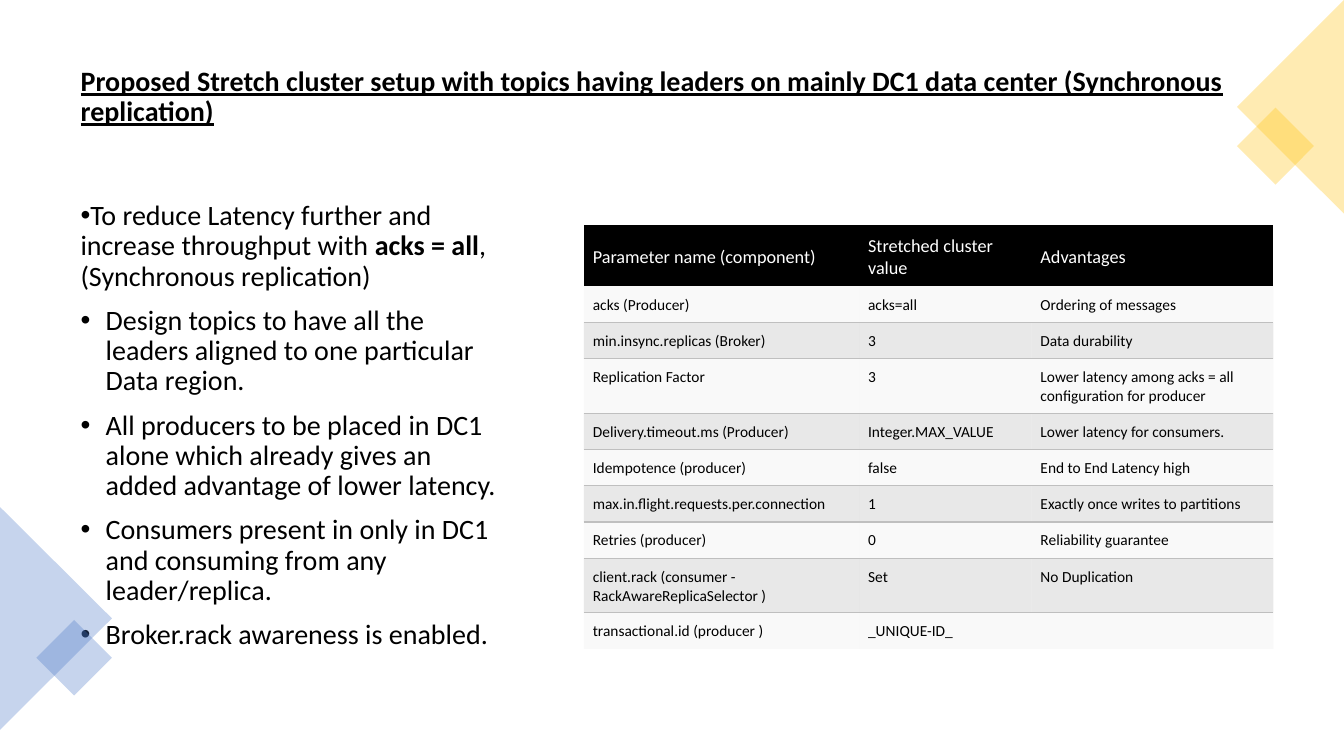
from lxml import etree
from pptx import Presentation
from pptx.dml.color import RGBColor
from pptx.enum.shapes import MSO_SHAPE
from pptx.enum.text import MSO_ANCHOR, PP_ALIGN
from pptx.oxml.ns import qn
from pptx.util import Inches, Pt

TRIANGLE = MSO_SHAPE.ISOSCELES_TRIANGLE
SQUARE = MSO_SHAPE.RECTANGLE
MIDDLE = MSO_ANCHOR.MIDDLE
TOP = MSO_ANCHOR.TOP
LEFT = PP_ALIGN.LEFT

FONT = "Calibri"
BLACK, WHITE = "000000", "FFFFFF"
BLUE, GOLD = "4472C4", "FFC000"
LIGHT, GREY = "F2F2F2", "BFBFBF"
NO_STYLE_NO_GRID = "{2D5ABB26-0587-4C30-8999-92F81FD0307C}"

TITLE = ("Proposed Stretch cluster setup with topics having leaders on mainly "
         "DC1 data center (Synchronous replication)")

BULLETS = [
    (0, [("To reduce Latency further and increase throughput with ", False),
         ("acks = all", True),
         (", (Synchronous replication)", False)]),
    (0.25, [("Design topics to have all the leaders aligned to one particular Data region.", False)]),
    (0.25, [("All producers to be placed in DC1 alone which already gives an added "
             "advantage of lower latency.", False)]),
    (0.25, [("Consumers present in only in DC1 and consuming from any leader/replica.", False)]),
    (0.25, [("Broker.rack awareness is enabled.", False)]),
]

CORNERS = [
    (BLUE, [(TRIANGLE, -0.55, 5.58, 2.21, 1.11, 90),
            (SQUARE, 0.47, 6.26, 0.53, 0.53, 45)]),
    (GOLD, [(SQUARE, 12.38, 1.18, 0.54, 0.54, 45),
            (TRIANGLE, 11.74, 0.53, 2.12, 1.06, 270)]),
]

PARAMETERS = [
    ("Parameter name (component)", "Stretched cluster value", "Advantages"),
    ("acks (Producer)", "acks=all", "Ordering of messages"),
    ("min.insync.replicas (Broker)", "3", "Data durability"),
    ("Replication Factor", "3", "Lower latency among acks = all configuration for producer"),
    ("Delivery.timeout.ms (Producer)", "Integer.MAX_VALUE", "Lower latency for consumers."),
    ("Idempotence (producer)", "false", "End to End Latency high"),
    ("max.in.flight.requests.per.connection", "1", "Exactly once writes to partitions"),
    ("Retries (producer)", "0", "Reliability guarantee"),
    ("client.rack (consumer - RackAwareReplicaSelector )", "Set", "No Duplication"),
    ("transactional.id (producer )", "_UNIQUE-ID_", ""),
]
COLUMN_WIDTHS = [2.73, 1.71, 2.4]
ROW_HEIGHT = 0.36
TALL_ROWS = {0: 0.61, 3: 0.54, 8: 0.54}


def rgb(color):
    return RGBColor.from_string(color)


def add_run(paragraph, text, size, color=BLACK, bold=False, underline=False):
    run = paragraph.add_run()
    run.text = text
    run.font.name = FONT
    run.font.size = Pt(size)
    run.font.color.rgb = rgb(color)
    run.font.bold = bold
    run.font.underline = underline


def paint(fill, properties, color, opacity=100):
    fill.solid()
    fill.fore_color.rgb = rgb(color)
    if opacity < 100:
        for element in properties.iter(qn("a:srgbClr")):
            etree.SubElement(element, qn("a:alpha"), val=str(opacity * 1000))


def add_bullet(paragraph, margin):
    properties = paragraph._p.get_or_add_pPr()
    properties.set("marL", str(Inches(margin)))
    properties.set("indent", str(Inches(-0.25)))
    etree.SubElement(properties, qn("a:buFont"), typeface="Arial")
    etree.SubElement(properties, qn("a:buChar"), char="•")


def add_border(cell, side):
    line = etree.Element(qn(f"a:{side}"), w=str(Pt(1)))
    fill = etree.SubElement(line, qn("a:solidFill"))
    etree.SubElement(fill, qn("a:srgbClr"), val=GREY)
    cell._tc.get_or_add_tcPr().insert(0, line)


def add_title(slide):
    title = slide.shapes.title
    title.left, title.top = Inches(0.7), Inches(0.35)
    title.width, title.height = Inches(11.93), Inches(1.24)
    frame = title.text_frame
    frame.word_wrap = True
    frame.vertical_anchor = MIDDLE
    paragraph = frame.paragraphs[0]
    paragraph.alignment = LEFT
    paragraph.line_spacing = 0.9
    paragraph.space_before = Pt(0)
    add_run(paragraph, TITLE, 20, bold=True, underline=True)


def add_bullets(slide):
    box = slide.shapes.add_textbox(Inches(0.7), Inches(1.95), Inches(4.38), Inches(4.81))
    frame = box.text_frame
    frame.word_wrap = True
    for index, (margin, runs) in enumerate(BULLETS):
        paragraph = frame.add_paragraph() if index else frame.paragraphs[0]
        paragraph.line_spacing = 0.9
        paragraph.space_before = Pt(10)
        add_bullet(paragraph, margin)
        for text, bold in runs:
            add_run(paragraph, text, 20, bold=bold)


def add_corners(slide):
    for color, parts in CORNERS:
        group = slide.shapes.add_group_shape()
        for kind, left, top, width, height, rotation in parts:
            shape = group.shapes.add_shape(kind, Inches(left), Inches(top),
                                           Inches(width), Inches(height))
            shape.rotation = rotation
            shape.shadow.inherit = False
            shape.line.fill.background()
            paint(shape.fill, shape._element.spPr, color, 30)


def fill_cell(cell, text, row):
    header = row == 0
    shaded = not header and row % 2 == 0
    size = 13 if header else 11
    cell.margin_left = cell.margin_right = cell.margin_top = Inches(0.09)
    cell.margin_bottom = Inches(0.05)
    cell.vertical_anchor = MIDDLE if header else TOP
    paragraph = cell.text_frame.paragraphs[0]
    if text:
        add_run(paragraph, text, size, WHITE if header else BLACK)
    else:
        etree.SubElement(paragraph._p, qn("a:endParaRPr"), sz=str(size * 100))
    color, opacity = (BLACK, 100) if header else (GREY, 35) if shaded else (LIGHT, 45)
    paint(cell.fill, cell._tc.get_or_add_tcPr(), color, opacity)
    if shaded:
        add_border(cell, "lnT")
    elif 0 < row < len(PARAMETERS) - 1:
        add_border(cell, "lnB")


def add_parameter_table(slide):
    heights = [TALL_ROWS.get(row, ROW_HEIGHT) for row in range(len(PARAMETERS))]
    table = slide.shapes.add_table(len(heights), len(COLUMN_WIDTHS), Inches(5.79), Inches(2.23),
                                   Inches(sum(COLUMN_WIDTHS)), Inches(sum(heights))).table
    table.horz_banding = False
    table._tbl.tblPr.find(qn("a:tableStyleId")).text = NO_STYLE_NO_GRID
    for column, width in zip(table.columns, COLUMN_WIDTHS):
        column.width = Inches(width)
    for row, values in enumerate(PARAMETERS):
        table.rows[row].height = Inches(heights[row])
        for column, text in enumerate(values):
            fill_cell(table.cell(row, column), text, row)


def main():
    presentation = Presentation()
    presentation.slide_width = Inches(13.33)
    presentation.slide_height = Inches(7.5)
    slide = presentation.slides.add_slide(presentation.slide_layouts[5])
    add_title(slide)
    add_bullets(slide)
    add_corners(slide)
    add_parameter_table(slide)
    presentation.save("out.pptx")


if __name__ == "__main__":
    main()
